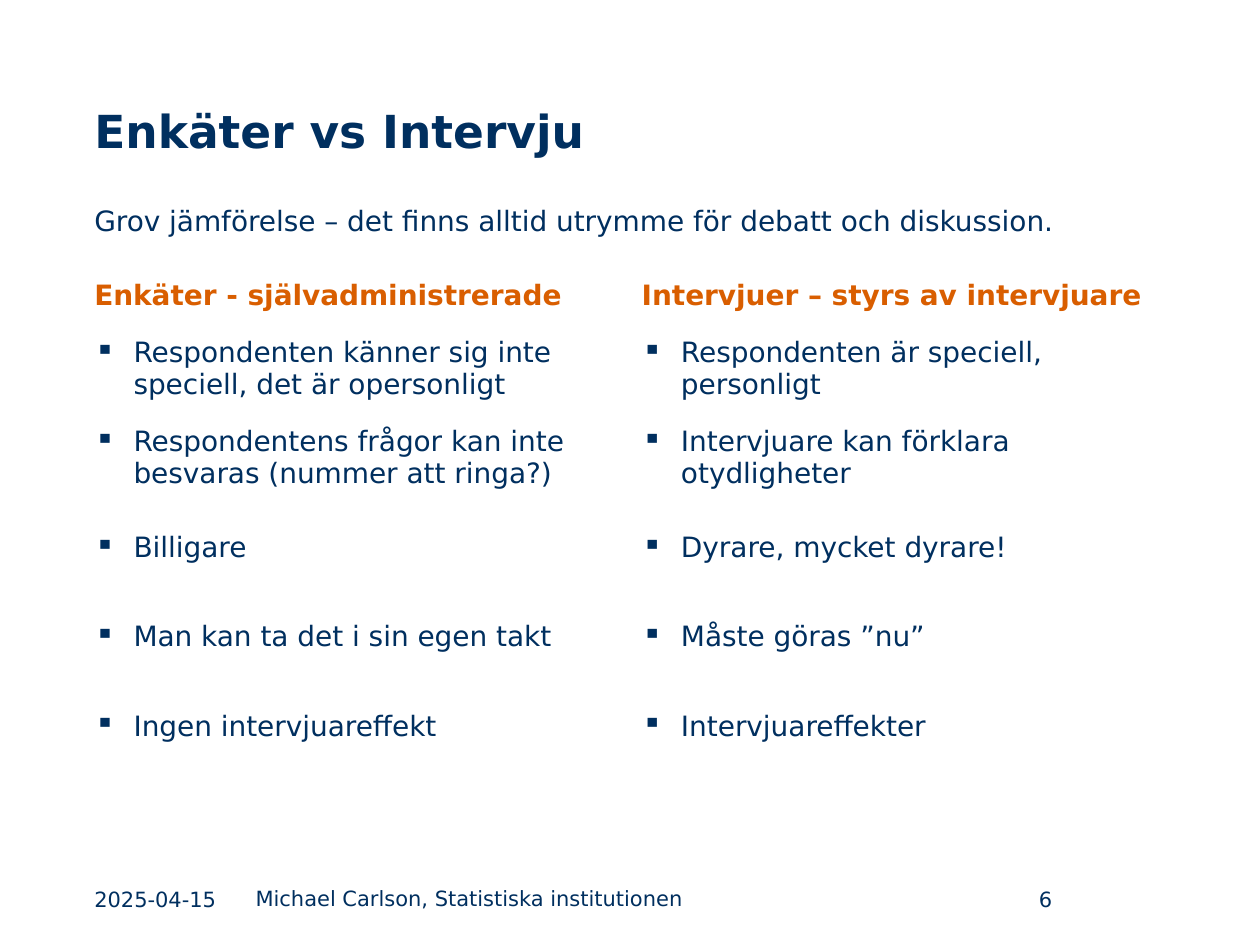
import lxml.etree
import pptx
import pptx.dml.color
import pptx.enum.text
import pptx.oxml.ns
import pptx.util

Inches = pptx.util.Inches
Pt = pptx.util.Pt
ALIGN = pptx.enum.text.PP_ALIGN
ANCHOR = pptx.enum.text.MSO_ANCHOR

NAVY = pptx.dml.color.RGBColor(0x00, 0x2F, 0x5F)
ORANGE = pptx.dml.color.RGBColor(0xD9, 0x5E, 0x00)
FONT = "DejaVu Sans"

LEFT, WIDTH = 0.65, 8.69
COLUMN = WIDTH / 2
ROW_HEIGHT = 0.71
BULLET_INDENT = 0.31

TITLE = {"size": Pt(26), "bold": True}
BODY = {"size": Pt(16)}
FOOTER = {"size": Pt(12)}
HEADING = {"size": Pt(16), "bold": True}

COMPARISON = [
    ("Respondenten känner sig inte speciell, det är opersonligt",
     "Respondenten är speciell, personligt"),
    ("Respondentens frågor kan inte besvaras (nummer att ringa?)",
     "Intervjuare kan förklara otydligheter"),
    ("Billigare", "Dyrare, mycket dyrare!"),
    ("Man kan ta det i sin egen takt", "Måste göras ”nu”"),
    ("Ingen intervjuareffekt", "Intervjuareffekter"),
]


def write(p, text, font, color=NAVY):
    r = p.add_run()
    r.text = text
    for name, value in {"name": FONT, **font}.items():
        setattr(r.font, name, value)
    r.font.color.rgb = color


def add_text(slide, box, text, font, color=NAVY, anchor=ANCHOR.TOP, **paragraph):
    """Add a text box; extra keywords are paragraph attributes."""
    tf = slide.shapes.add_textbox(*map(Inches, box)).text_frame
    tf.word_wrap = True
    tf.vertical_anchor = anchor
    p = tf.paragraphs[0]
    for name, value in paragraph.items():
        setattr(p, name, value)
    write(p, text, font, color)


def add_bullet(p):
    pPr = p._p.get_or_add_pPr()
    pPr.set("marL", str(Inches(BULLET_INDENT)))
    pPr.set("indent", str(-Inches(BULLET_INDENT)))
    bullet = lxml.etree.SubElement(pPr, pptx.oxml.ns.qn("a:buChar"))
    bullet.set("char", "▪")


def add_comparison(slide, box):
    table = slide.shapes.add_table(
        len(COMPARISON), 2, *map(Inches, box)).table
    table.first_row = table.horz_banding = False
    # "No Style, No Grid" keeps the cells free of borders
    style = table._tbl.tblPr.find(pptx.oxml.ns.qn("a:tableStyleId"))
    style.text = "{2D5ABB26-0587-4C30-8999-92F81FD0307C}"
    for row, texts in zip(table.rows, COMPARISON):
        for cell, text in zip(row.cells, texts):
            cell.fill.background()
            cell.vertical_anchor = ANCHOR.MIDDLE
            p = cell.text_frame.paragraphs[0]
            add_bullet(p)
            write(p, text, BODY)


def add_header(slide, left, top, width):
    add_text(slide, (left, top, width, 0.87), "Enkäter vs Intervju",
             TITLE, anchor=ANCHOR.BOTTOM)
    add_text(slide, (left, top + 1, width, 1.14),
             "Grov jämförelse – det finns alltid utrymme för debatt och diskussion.",
             BODY, line_spacing=Pt(29), space_before=Pt(3))


def add_headings(slide, left, top):
    headings = ["Enkäter - självadministrerade",
                "Intervjuer – styrs av intervjuare"]
    for i, text in enumerate(headings):
        add_text(slide, (left + i * COLUMN, top, COLUMN, 0.55), text, HEADING,
                 ORANGE, line_spacing=Pt(29), space_before=Pt(12))


def add_footer(slide, left, top, height):
    add_text(slide, (left, top, 1.23, height), "2025-04-15", FOOTER,
             anchor=ANCHOR.MIDDLE)
    add_text(slide, (left + 1.28, top, 4.91, height),
             "Michael Carlson, Statistiska institutionen", FOOTER)
    add_text(slide, (left + 6.24, top, 1.56, height), "6", FOOTER,
             anchor=ANCHOR.MIDDLE, alignment=ALIGN.RIGHT)


def main():
    prs = pptx.Presentation()
    prs.slide_width, prs.slide_height = Inches(10), Inches(7.5)
    s = prs.slides.add_slide(prs.slide_layouts[6])
    add_comparison(s, (LEFT, 2.57, WIDTH, ROW_HEIGHT * len(COMPARISON)))
    add_header(s, LEFT, 0.43, WIDTH)
    add_headings(s, LEFT, 2.02)
    add_footer(s, LEFT, 6.98, 0.31)
    prs.save("out.pptx")


if __name__ == "__main__":
    main()
